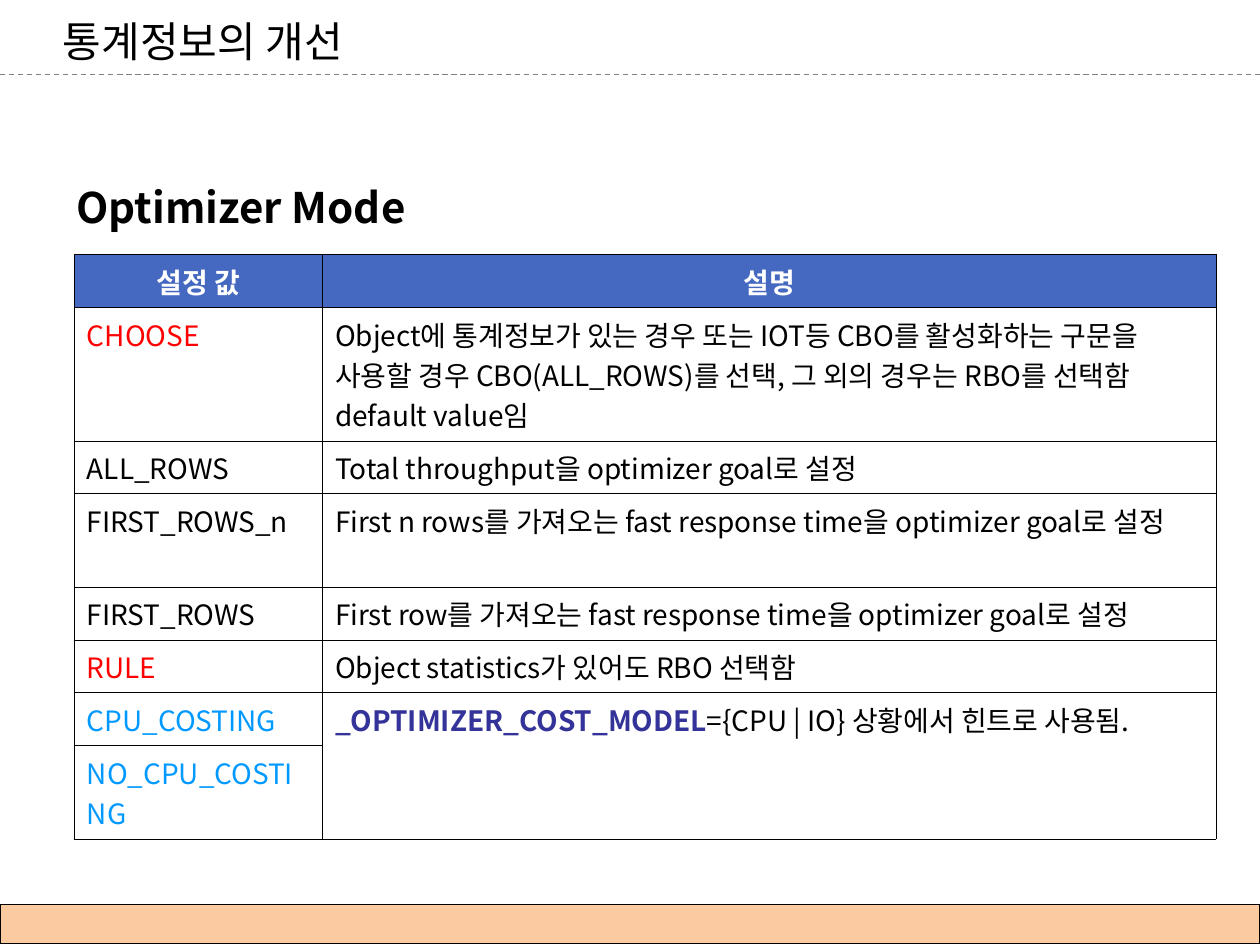
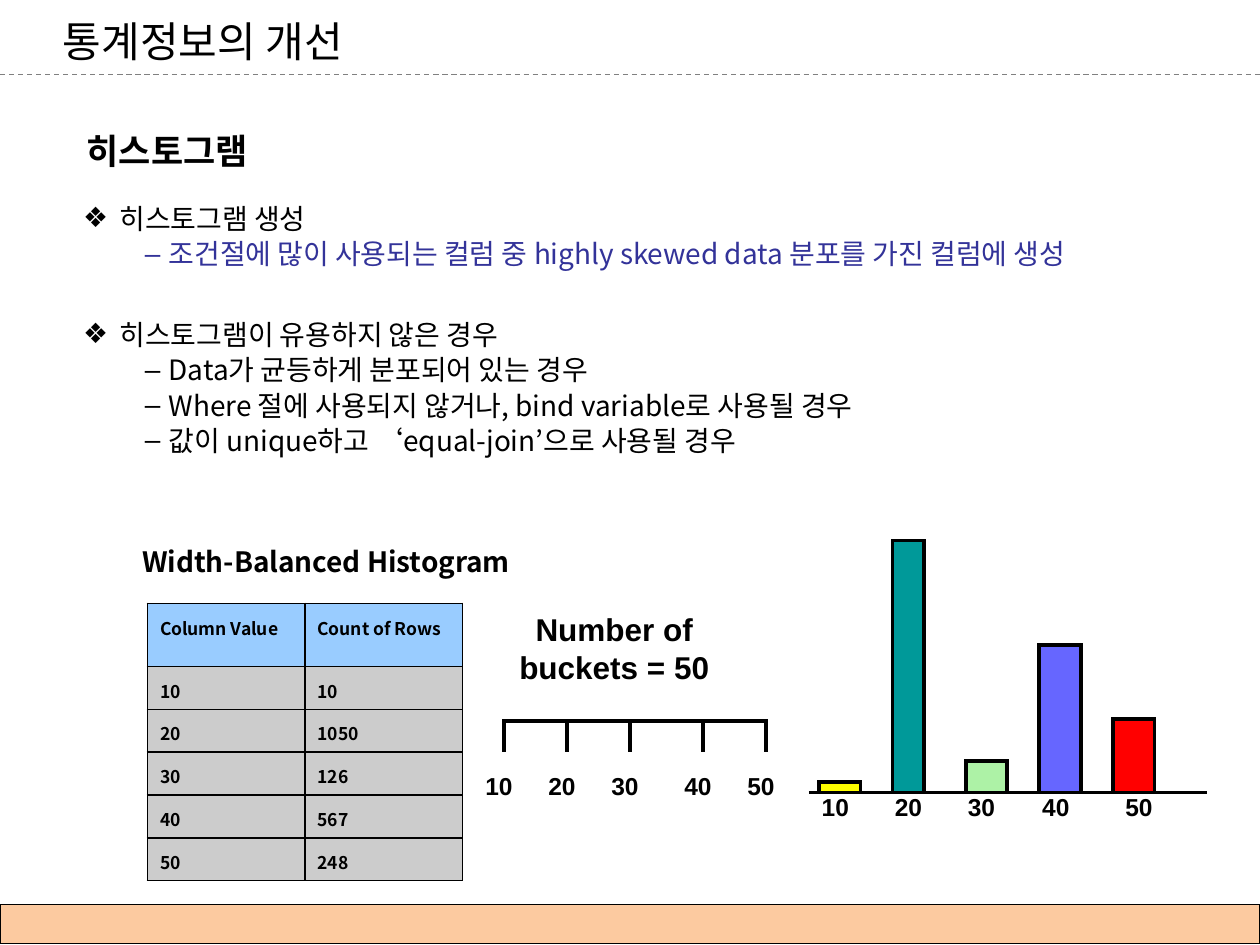
import pptx
import pptx.util
import pptx.dml.color
import pptx.enum.dml
import pptx.enum.shapes
import pptx.enum.text
import pptx.oxml
import pptx.oxml.ns

Inches = pptx.util.Inches
Pt = pptx.util.Pt
qn = pptx.oxml.ns.qn
ALIGN = pptx.enum.text.PP_ALIGN
ANCHOR = pptx.enum.text.MSO_ANCHOR
RECT = pptx.enum.shapes.MSO_SHAPE.RECTANGLE

SANS = "Noto Sans CJK KR"
LABEL = "Arial"
COLORS = {
    "black": "000000", "white": "FFFFFF", "rule": "808080", "band": "F97407",
    "header": "4568C1", "red": "FF0000", "sky": "0099FF", "navy": "333399",
    "count_header": "99CCFF", "count_body": "CCCCCC",
    "yellow": "FFFF00", "teal": "009999", "green": "ADF2A6", "violet": "6666FF",
}


def rgb(name):
    return pptx.dml.color.RGBColor.from_string(COLORS[name])


def add_xml(parent, tag, **attrs):
    child = parent.makeelement(qn(tag), attrs)
    parent.append(child)
    return child


def style_run(r, size, color="black", bold=False, font=SANS):
    r.font.size = Pt(size)
    r.font.bold = bold
    r.font.name = font
    r.font.color.rgb = rgb(color)


def add_text(shapes, text, box, size, bold=False, font=SANS, align=ALIGN.LEFT,
             anchor=ANCHOR.TOP, spacing=1.0, margin_x=0.1):
    sp = shapes.add_textbox(*map(Inches, box))
    tf = sp.text_frame
    tf.word_wrap = True
    tf.vertical_anchor = anchor
    tf.margin_left = tf.margin_right = Inches(margin_x)
    tf.text = text
    p = tf.paragraphs[0]
    p.alignment = align
    p.line_spacing = spacing
    style_run(p.runs[0], size, bold=bold, font=font)


def add_label(shapes, text, left, top):
    add_text(shapes, text, (left, top, 0.42, 0.34), 14, bold=True, font=LABEL,
             align=ALIGN.CENTER, margin_x=0)


def add_line(shapes, x1, y1, x2, y2, color="black", width=2.25):
    line = shapes.add_connector(pptx.enum.shapes.MSO_CONNECTOR.STRAIGHT,
                                *map(Inches, (x1, y1, x2, y2)))
    line.line.color.rgb = rgb(color)
    line.line.width = Pt(width)
    add_xml(line._element.spPr, "a:effectLst")
    return line


def add_rect(shapes, box, fill, width):
    sp = shapes.add_shape(RECT, *map(Inches, box))
    sp.shadow.inherit = False
    sp.fill.solid()
    sp.fill.fore_color.rgb = rgb(fill)
    sp.line.color.rgb = rgb("black")
    sp.line.width = Pt(width)
    add_xml(sp._element.spPr.find(qn("a:ln")), "a:miter", lim="800000")
    return sp


def set_borders(cell, width):
    tc_pr = cell._tc.get_or_add_tcPr()
    for i, side in enumerate(("lnL", "lnR", "lnT", "lnB")):
        ln = tc_pr.makeelement(qn("a:" + side), {"w": str(int(Pt(width)))})
        add_xml(add_xml(ln, "a:solidFill"), "a:srgbClr", val=COLORS["black"])
        tc_pr.insert(i, ln)


def fill_cell(cell, runs, size, fill=None, align=ALIGN.LEFT, spacing=1.0):
    """Each run is (text, color, bold)."""
    if fill:
        cell.fill.solid()
        cell.fill.fore_color.rgb = rgb(fill)
    else:
        cell.fill.background()
    p = cell.text_frame.paragraphs[0]
    p.alignment = align
    p.line_spacing = spacing
    for text, color, bold in runs:
        r = p.add_run()
        r.text = text
        style_run(r, size, color, bold)


def add_grid(slide, left, top, widths, heights, border):
    frame = slide.shapes.add_table(len(heights), len(widths), Inches(left), Inches(top),
                                   Inches(sum(widths)), Inches(sum(heights)))
    table = frame.table
    for col, width in zip(table.columns, widths):
        col.width = Inches(width)
    for row, height in zip(table.rows, heights):
        row.height = Inches(height)
        for cell in row.cells:
            set_borders(cell, border)
    return table


def add_bullets(slide, box, items):
    """Each item is (text, level, color, space before in points)."""
    tf = slide.shapes.add_textbox(*map(Inches, box)).text_frame
    tf.word_wrap = True
    tf.margin_left = tf.margin_right = Inches(0.11)
    tf.text = "\n".join(item[0] for item in items)
    for p, (_, level, color, before) in zip(tf.paragraphs, items):
        p.level = level
        p.space_before = Pt(before)
        mark, indent, hang = (("❖", 0.29, 0.29), ("–", 0.68, 0.19))[level]
        p_pr = p._p.get_or_add_pPr()
        p_pr.set("marL", str(int(Inches(indent))))
        p_pr.set("indent", str(-int(Inches(hang))))
        add_xml(add_xml(p_pr, "a:buClr"), "a:srgbClr", val=COLORS[color])
        add_xml(p_pr, "a:buFont", typeface=LABEL)
        add_xml(p_pr, "a:buChar", char=mark)
        style_run(p.runs[0], 16, color)


def new_slide(prs, title):
    s = prs.slides.add_slide(prs.slide_layouts[6])
    # Footer band, title rule and title
    band = add_rect(s.shapes, (0, 7.18, 10, 0.31), "band", 0.75)
    band_color = band.fill._xPr.find(qn("a:solidFill")).find(qn("a:srgbClr"))
    add_xml(band_color, "a:alpha", val="38000")
    rule = add_line(s.shapes, 0, 0.59, 10, 0.59, "rule", 0.75)
    rule.line.dash_style = pptx.enum.dml.MSO_LINE.DASH
    add_text(s.shapes, title, (0.4, 0.13, 9.25, 0.39), 24, anchor=ANCHOR.MIDDLE)
    return s


def add_mode_table(s):
    rows = [
        ("CHOOSE", "red", "Object에 통계정보가 있는 경우 또는 IOT등 CBO를 활성화하는 구문을 "
         "사용할 경우 CBO(ALL_ROWS)를 선택, 그 외의 경우는 RBO를 선택함 default value임"),
        ("ALL_ROWS", "black", "Total throughput을 optimizer goal로 설정"),
        ("FIRST_ROWS_n", "black",
         "First n rows를 가져오는 fast response time을 optimizer goal로 설정"),
        ("FIRST_ROWS", "black",
         "First row를 가져오는 fast response time을 optimizer goal로 설정"),
        ("RULE", "red", "Object statistics가 있어도 RBO 선택함"),
        ("CPU_COSTING", "sky", None),
        ("NO_CPU_COSTING", "sky", None),
    ]
    one_line, two_lines, three_lines = 0.42, 0.74, 1.06
    table = add_grid(s, 0.59, 2.02, (1.97, 7.09),
                     (one_line, three_lines, one_line, two_lines,
                      one_line, one_line, one_line, two_lines), 0.45)
    for col, text in enumerate(("설정 값", "설명")):
        fill_cell(table.cell(0, col), [(text, "white", True)], 16, "header", ALIGN.CENTER)
    for i, (mode, color, description) in enumerate(rows, 1):
        fill_cell(table.cell(i, 0), [(mode, color, False)], 16)
        if description:
            fill_cell(table.cell(i, 1), [(description, "black", False)], 16)
    # One description shared by both costing modes
    table.cell(6, 1).merge(table.cell(7, 1))
    fill_cell(table.cell(6, 1), [("_OPTIMIZER_COST_MODEL", "navy", True),
                                 ("={CPU | IO} 상황에서 힌트로 사용됨.", "black", False)], 16)


def add_count_table(s):
    rows = [("Column Value", "Count of Rows"), ("10", "10"), ("20", "1050"),
            ("30", "126"), ("40", "567"), ("50", "248")]
    table = add_grid(s, 1.17, 4.79, (1.25, 1.25), [0.5] + [0.34] * 5, 1.08)
    for i, row in enumerate(rows):
        fill = "count_body" if i else "count_header"
        for j, text in enumerate(row):
            fill_cell(table.cell(i, j), [(text, "black", True)], 10, fill, spacing=1.2)


def add_bucket_scale(s):
    shapes = s.shapes.add_group_shape().shapes
    ticks = {"10": 4, "20": 4.5, "30": 5, "40": 5.58, "50": 6.08}
    add_line(shapes, 4, 5.72, 6.08, 5.72)
    for text, x in ticks.items():
        add_line(shapes, x, 5.71, x, 5.97)
        add_label(shapes, text, x - 0.25, 6.07)


def add_histogram(s):
    shapes = s.shapes.add_group_shape().shapes
    base = 6.29
    # value, bar width, bar height, color, label left
    bars = [("10", 0.33, 0.08, "yellow", 6.42), ("20", 0.25, 2, "teal", 7),
            ("30", 0.33, 0.25, "green", 7.58), ("40", 0.33, 1.17, "violet", 8.17),
            ("50", 0.33, 0.58, "red", 8.83)]
    add_line(shapes, 6.42, base, 9.58, base)
    for i, (text, width, height, color, label_left) in enumerate(bars):
        left = 6.5 + i * 7 / 12
        add_rect(shapes, (left, base - height, width, height), color, 2.25)
        add_label(shapes, text, label_left, 6.24)


def main():
    prs = pptx.Presentation()
    prs.slide_width = Inches(10)
    prs.slide_height = Inches(7.5)
    title = "통계정보의 개선"

    # Slide 1: optimizer modes
    s = new_slide(prs, title)
    add_text(s.shapes, "Optimizer Mode", (0.51, 1.31, 9.25, 0.47), 24, bold=True, spacing=1.2)
    add_mode_table(s)

    # Slide 2: histograms
    s = new_slide(prs, title)
    add_text(s.shapes, "히스토그램", (0.59, 0.91, 9.25, 0.47), 20, bold=True, spacing=1.2)
    add_bullets(s, (0.55, 1.55, 9.33, 2.17), [
        ("히스토그램 생성", 0, "black", 1),
        ("조건절에 많이 사용되는 컬럼 중 highly skewed data 분포를 가진 컬럼에 생성", 1, "navy", 1),
        ("히스토그램이 유용하지 않은 경우", 0, "black", 27),
        ("Data가 균등하게 분포되어 있는 경우", 1, "black", 1),
        ("Where 절에 사용되지 않거나, bind variable로 사용될 경우", 1, "black", 1),
        ("값이 unique하고 ‘equal-join’으로 사용될 경우", 1, "black", 1),
    ])
    add_text(s.shapes, "Width-Balanced Histogram", (1.03, 4.22, 6.57, 0.47), 16,
             bold=True, spacing=1.2)
    add_count_table(s)
    add_text(s.shapes, "Number of buckets = 50", (4, 4.79, 1.75, 0.7), 18, bold=True,
             font=LABEL, align=ALIGN.CENTER)
    add_bucket_scale(s)
    add_histogram(s)

    prs.save("out.pptx")


if __name__ == "__main__":
    main()
